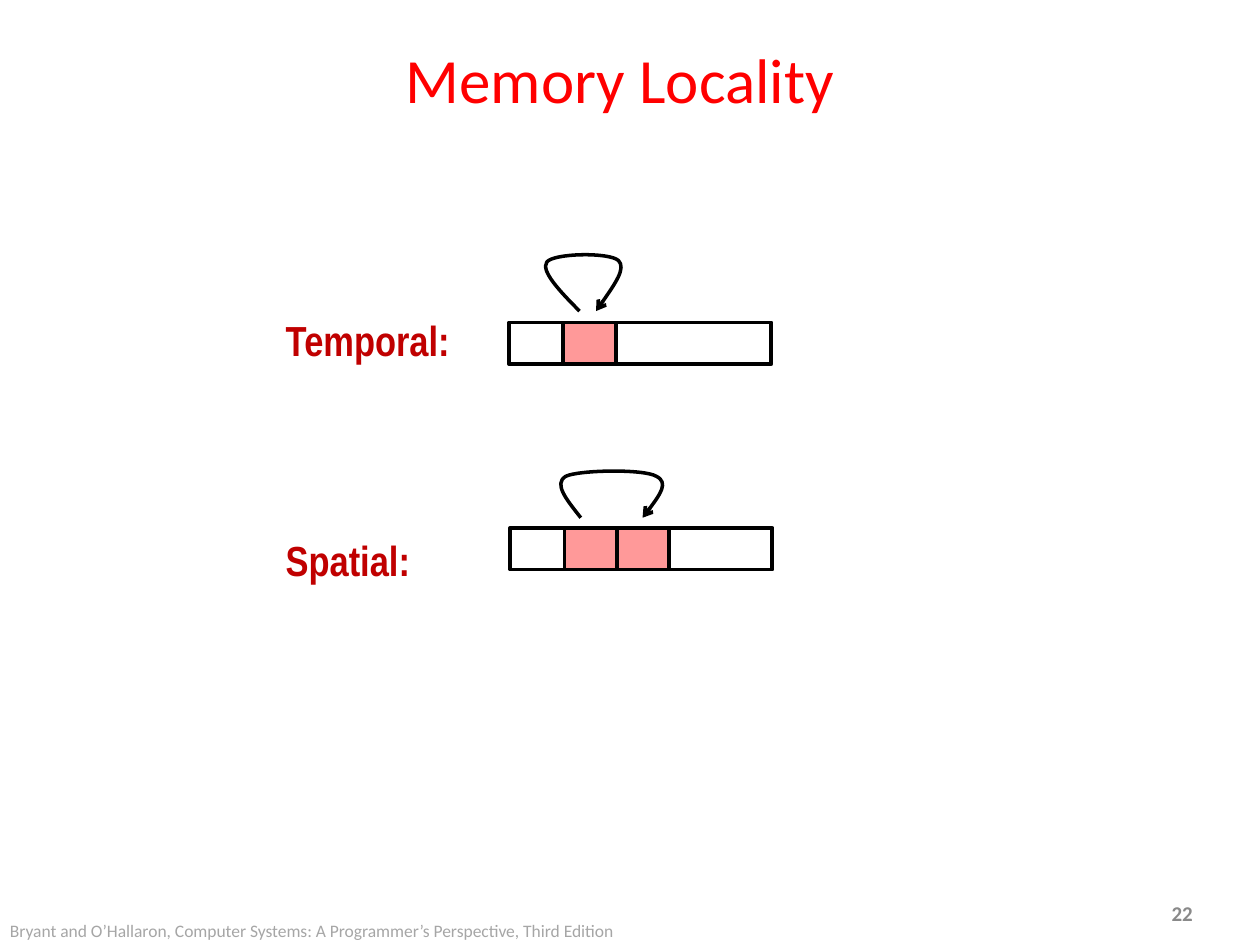
from lxml import etree
from pptx import Presentation
from pptx.dml.color import RGBColor
from pptx.enum import shapes, text
from pptx.oxml import ns
from pptx.util import Pt

BLACK = RGBColor(0x00, 0x00, 0x00)
WHITE = RGBColor(0xFF, 0xFF, 0xFF)
PINK = RGBColor(0xFF, 0x99, 0x99)
RED = RGBColor(0xFF, 0x00, 0x00)
DARK_RED = RGBColor(0xC0, 0x00, 0x00)
GREY = RGBColor(0x89, 0x89, 0x89)
LIGHT_GREY = RGBColor(0xA6, 0xA6, 0xA6)

TITLE = "Memory Locality"
TITLE_FONT = {"name": "Calibri", "size": Pt(36), "color": RED}
LABEL_FONT = {"name": "Arial Narrow", "size": Pt(24), "bold": True, "color": DARK_RED}
NUMBER_FONT = {"name": "Calibri", "size": Pt(12), "bold": True, "color": GREY}
FOOTER_FONT = {"name": "Calibri", "size": Pt(10), "color": LIGHT_GREY}

TOP, MIDDLE = text.MSO_ANCHOR.TOP, text.MSO_ANCHOR.MIDDLE
TEXTS = [
    ("22", (662.4, 511.2, 28.8, 21.6), NUMBER_FONT, MIDDLE),
    ("Temporal:", (156.2, 176.4, 109.4, 36), LABEL_FONT, TOP),
    ("Spatial:", (156.2, 301.7, 86.4, 36), LABEL_FONT, TOP),
    ("Bryant and O’Hallaron, Computer Systems: A Programmer’s Perspective, Third Edition",
     (-1.4, 522, 365.8, 19.4), FOOTER_FONT, TOP),
]

BAR_WIDTH, BAR_HEIGHT = 149.8, 23.8
CELL_OFFSET, CELL_WIDTH, CELL_STEP = 31, 30, 29.9
MEMORIES = [
    {"left": 290.9, "top": 184.3, "used_cells": 1,
     "loop": [(331.2, 177.8), (319.7, 166.3), (308.9, 154.8), (312.5, 149.8),
              (316.1, 144.7), (348.5, 144), (353.5, 149),
              (357.8, 153.4), (349.2, 165.6), (340.6, 177.8)]},
    {"left": 291.6, "top": 301.7, "used_cells": 2,
     "loop": [(331.9, 295.9), (324, 285.8), (316.1, 276.5), (323.3, 272.2),
              (330.5, 268.6), (367.9, 267.8), (375.1, 272.2),
              (382.3, 275.8), (375.1, 285.8), (367.2, 295.9)]},
]


def format_font(font, values):
    for name, value in values.items():
        if name == "color":
            font.color.rgb = value
        else:
            setattr(font, name, value)


def add_text(slide, content, box, font, anchor):
    frame = slide.shapes.add_textbox(*map(Pt, box)).text_frame
    frame.word_wrap = False
    frame.vertical_anchor = anchor
    frame.text = content
    format_font(frame.paragraphs[0].runs[0].font, font)


def add_cell(slide, left, top, width, color):
    cell = slide.shapes.add_shape(
        shapes.MSO_SHAPE.RECTANGLE, Pt(left), Pt(top), Pt(width), Pt(BAR_HEIGHT))
    cell.shadow.inherit = False
    cell.fill.solid()
    cell.fill.fore_color.rgb = color
    cell.line.color.rgb = BLACK
    cell.line.width = Pt(2.25)


def add_loop_arrow(slide, points):
    start, *controls = [(Pt(x), Pt(y)) for x, y in points]
    builder = slide.shapes.build_freeform(*start)
    builder.add_line_segments(controls, close=False)
    loop = builder.convert_to_shape()
    segments = list(loop.element.iter(ns.qn("a:lnTo")))
    for first in range(0, len(segments), 3):
        curve = etree.Element(ns.qn("a:cubicBezTo"))
        segments[first].addprevious(curve)
        for segment in segments[first:first + 3]:
            curve.append(segment[0])
            segment.getparent().remove(segment)
    loop.shadow.inherit = False
    loop.fill.background()
    loop.line.color.rgb = BLACK
    loop.line.width = Pt(2)
    line = loop.element.spPr.find(ns.qn("a:ln"))
    etree.SubElement(line, ns.qn("a:tailEnd"), type="arrow")


def add_title(slide):
    title = slide.shapes.title
    box = {"left": 31, "top": 15.1, "width": 646.6, "height": 59.8}
    for name, value in box.items():
        setattr(title, name, Pt(value))
    title.text_frame.text = TITLE
    title.text_frame.vertical_anchor = MIDDLE
    paragraph = title.text_frame.paragraphs[0]
    paragraph.alignment = text.PP_ALIGN.CENTER
    properties = paragraph._p.get_or_add_pPr()
    properties.set("marL", str(Pt(9.4)))
    properties.set("indent", str(-Pt(9.4)))
    format_font(paragraph.runs[0].font, TITLE_FONT)


def main():
    presentation = Presentation()
    presentation.slide_width, presentation.slide_height = Pt(720), Pt(540)
    slide = presentation.slides.add_slide(presentation.slide_layouts[5])
    add_title(slide)
    for memory in MEMORIES:
        left, top = memory["left"], memory["top"]
        add_cell(slide, left, top, BAR_WIDTH, WHITE)
        for index in range(memory["used_cells"]):
            add_cell(slide, left + CELL_OFFSET + index * CELL_STEP, top, CELL_WIDTH, PINK)
        add_loop_arrow(slide, memory["loop"])
    for entry in TEXTS:
        add_text(slide, *entry)
    presentation.save("out.pptx")


if __name__ == "__main__":
    main()
